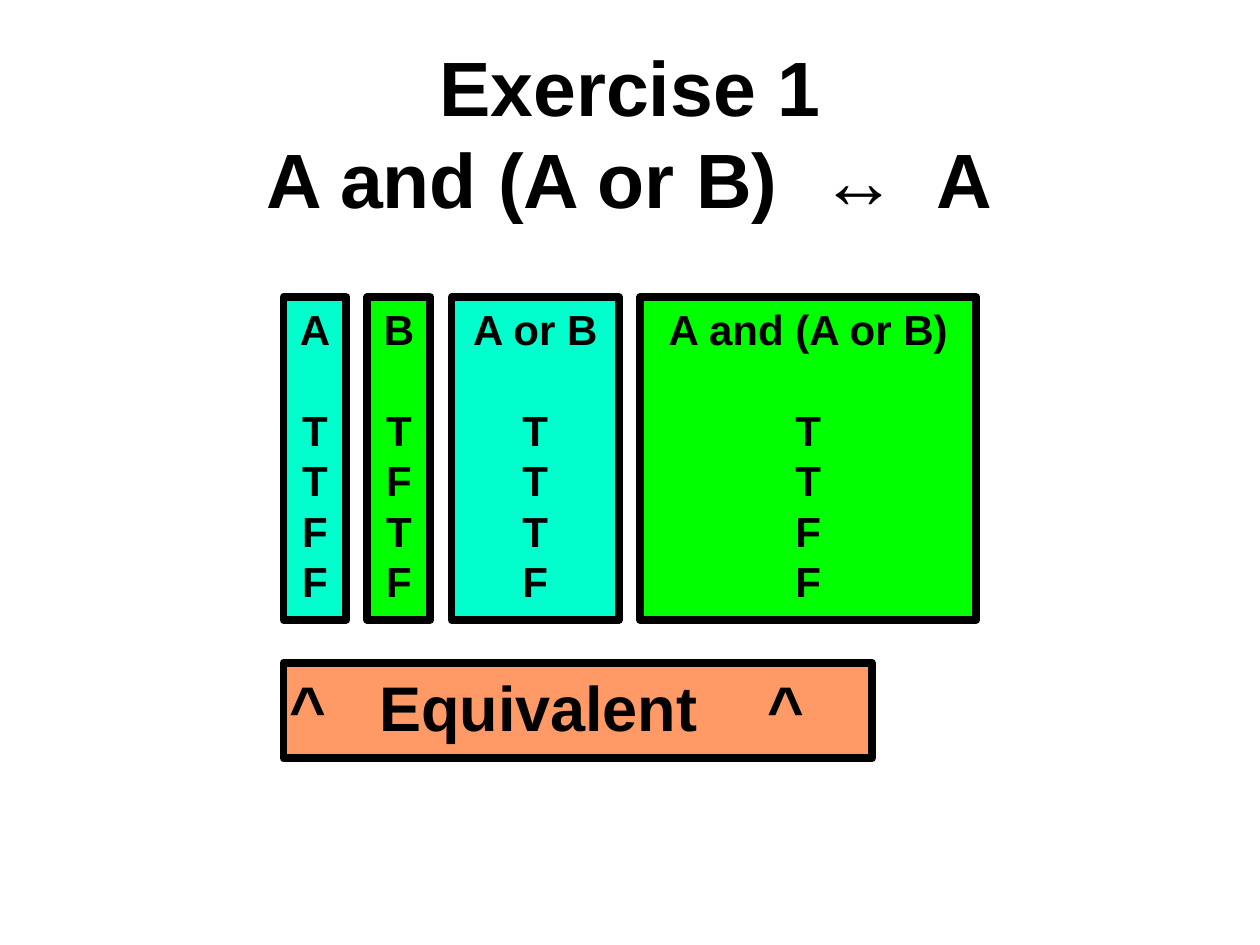
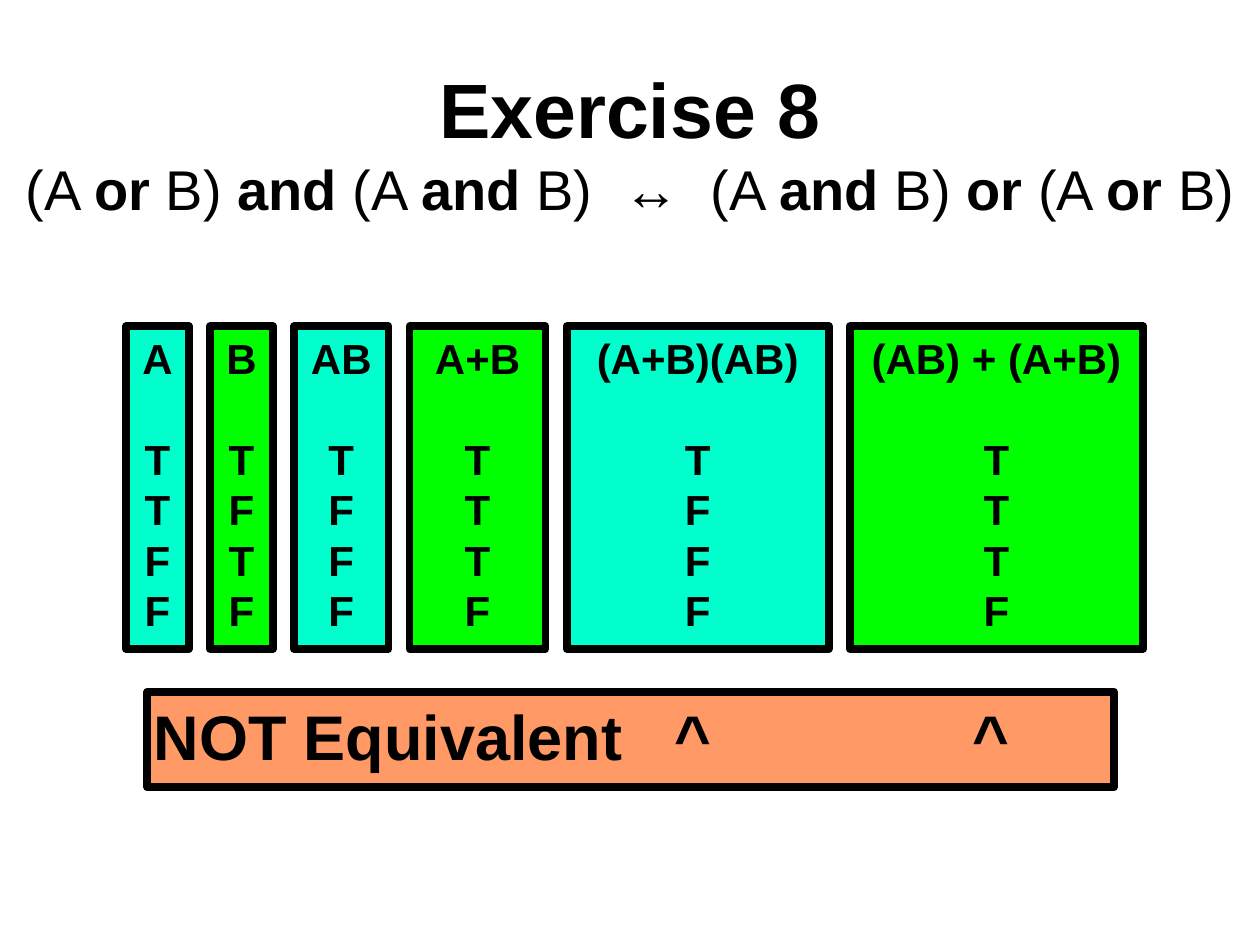
"""Build two truth-table exercise slides with coloured columns and a verdict bar."""
from lxml import etree
from pptx import Presentation
from pptx.dml.color import RGBColor
from pptx.enum.shapes import MSO_SHAPE
from pptx.enum.text import MSO_ANCHOR, MSO_AUTO_SIZE, PP_ALIGN
from pptx.oxml.ns import qn
from pptx.util import Inches, Pt

RECT = MSO_SHAPE.RECTANGLE
TOP, MIDDLE = MSO_ANCHOR.TOP, MSO_ANCHOR.MIDDLE
LEFT, CENTER = PP_ALIGN.LEFT, PP_ALIGN.CENTER
FIXED = MSO_AUTO_SIZE.NONE
BLACK = RGBColor(0x00, 0x00, 0x00)
AQUA = RGBColor(0x00, 0xFF, 0xCC)
GREEN = RGBColor(0x00, 0xFF, 0x00)
ORANGE = RGBColor(0xFF, 0x99, 0x66)
FONT = "Arial"
GAP = 1 / 6
TALL = 2.56

TABLES = [
    {
        "name": "Exercise 1", "rule": "|A and (A or B)  ↔  A", "size": 44,
        "head": 0.42, "left": 2.25, "top": 2.36,
        "cols": [("A", 0.5, "TTFF"), ("B", 0.5, "TFTF"),
                 ("A or B", 1.33, "TTTF"), ("A and (A or B)", 2.67, "TTFF")],
        "bar": (2.25, 4.67, "^\tEquivalent\t^", (0.71, 3.79)),
    },
    {
        "name": "Exercise 8", "size": 32,
        "rule": "(A |or |B) |and |(A |and |B)  ↔  (A |and |B) |or |(A |or |B)",
        "head": 0.5, "left": 1, "top": 2.59,
        "cols": [("A", 0.5, "TTFF"), ("B", 0.5, "TFTF"), ("AB", 0.75, "TFFF"),
                 ("A+B", 1.08, "TTTF"), ("(A+B)(AB)", 2.08, "TFFF"),
                 ("(AB) + (A+B)", 2.33, "TTTF")],
        "bar": (1.17, 7.67, "NOT Equivalent\t^\t^", (4.13, 6.5)),
    },
]


def put(para, text, size=24, bold=True, align=CENTER):
    """Add one formatted run to a paragraph."""
    para.alignment = align
    run = para.add_run()
    run.text = text
    run.font.name = FONT
    run.font.size = Pt(size)
    run.font.bold = bold
    run.font.color.rgb = BLACK


def box(slide, left, top, width, height, fill):
    """Draw a framed box and return its text frame."""
    shape = slide.shapes.add_shape(
        RECT, Inches(left), Inches(top), Inches(width), Inches(height))
    shape.shadow.inherit = False
    shape.fill.solid()
    shape.fill.fore_color.rgb = fill
    shape.line.color.rgb = BLACK
    shape.line.width = Pt(4.5)
    frame = shape.text_frame
    frame.word_wrap = True
    frame.vertical_anchor = TOP
    frame.margin_left = frame.margin_right = Inches(0.05)
    return frame


deck = Presentation()
deck.slide_width, deck.slide_height = Inches(10), Inches(7.5)

for table in TABLES:
    slide = deck.slides.add_slide(deck.slide_layouts[5])
    title = slide.shapes.title
    title.left, title.top = Inches(0), Inches(table["head"])
    title.width, title.height = Inches(10), Inches(1.25)
    frame = title.text_frame
    frame.auto_size = FIXED
    frame.vertical_anchor = MIDDLE
    para = frame.paragraphs[0]
    put(para, table["name"], size=44)
    para.add_line_break()
    for i, part in enumerate(table["rule"].split("|")):
        if part:
            put(para, part, size=table["size"], bold=i % 2 == 1)

    left, top = table["left"], table["top"]
    for i, (label, width, marks) in enumerate(table["cols"]):
        frame = box(slide, left, top, width, TALL, (AQUA, GREEN)[i % 2])
        put(frame.paragraphs[0], label)
        for row, mark in enumerate(marks):
            para = frame.add_paragraph()
            put(para, mark)
            if row == 0:
                para.space_before = Pt(28.8)
        left += width + GAP

    left, width, text, stops = table["bar"]
    frame = box(slide, left, top + 2.9, width, 0.76, ORANGE)
    para = frame.paragraphs[0]
    put(para, text, size=36, align=LEFT)
    tabs = etree.SubElement(para._p.get_or_add_pPr(), qn("a:tabLst"))
    for stop in stops:
        etree.SubElement(tabs, qn("a:tab"), pos=str(Inches(stop)), algn="l")

deck.save("out.pptx")
